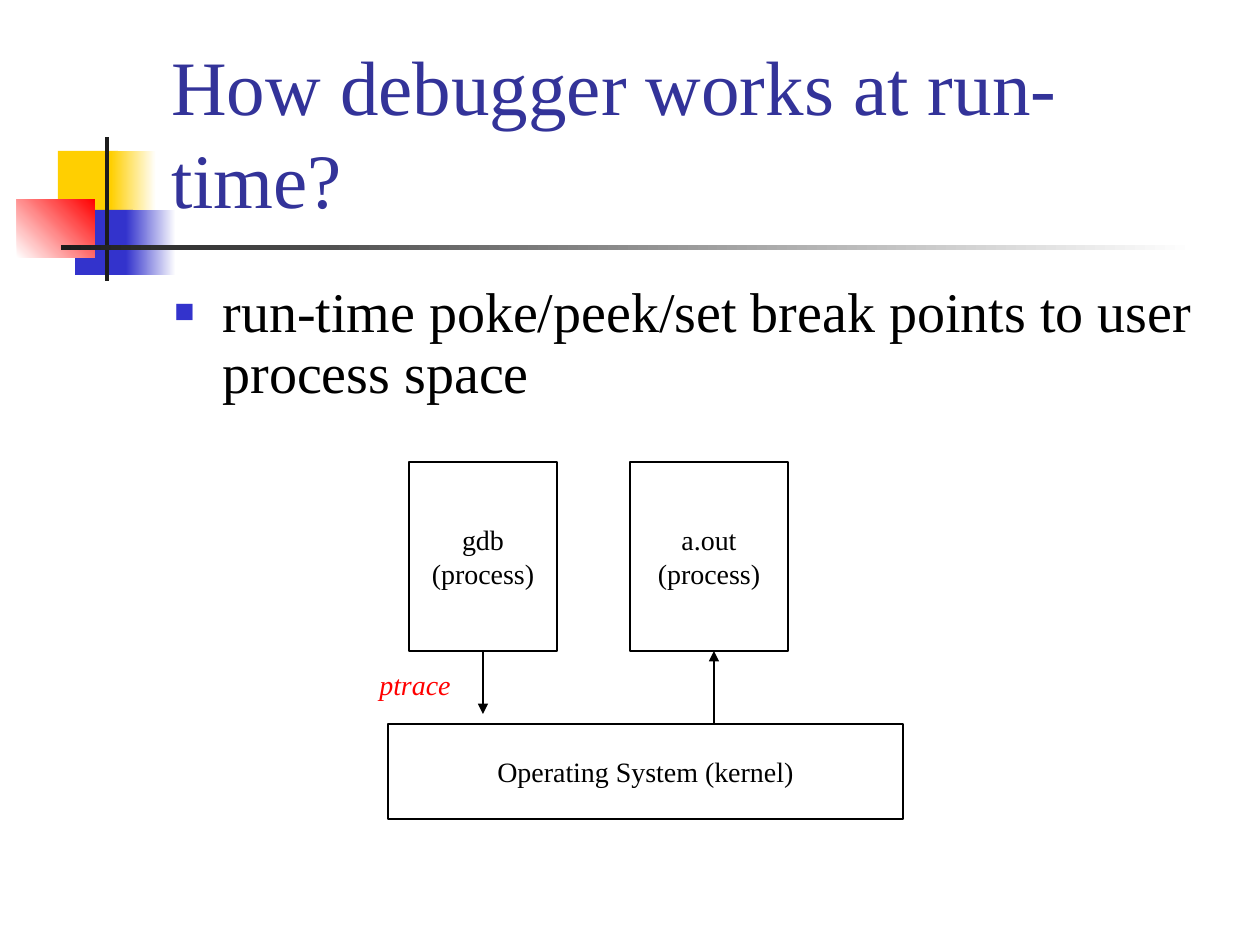
"""Build the slide on how a debugger drives a process at run time."""
from dataclasses import dataclass
from typing import Optional

from lxml.etree import SubElement
from pptx import Presentation
from pptx.dml.color import RGBColor
from pptx.enum.shapes import MSO_CONNECTOR, MSO_SHAPE
from pptx.enum.text import MSO_ANCHOR, MSO_AUTO_SIZE, PP_ALIGN
from pptx.oxml.ns import qn
from pptx.util import Emu, Pt

EMU_PER_PX = 914400 / 126
FONT = "Times New Roman"
COLORS = {
    "white": "FFFFFF",
    "black": "000000",
    "yellow": "FFCF01",
    "blue": "3333CC",
    "red": "FF0000",
    "dark": "1C1C1C",
    "title": "333399",
}


@dataclass(frozen=True)
class Area:
    x: int
    y: int
    w: int
    h: int


@dataclass(frozen=True)
class Block:
    area: Area
    start: str
    end: Optional[str] = None
    angle: int = 0


@dataclass(frozen=True)
class Box:
    area: Area
    lines: tuple[str, ...]


@dataclass(frozen=True)
class Label:
    area: Area
    text: str
    size: int
    color: str
    italic: bool = False
    wrap: bool = True
    anchor: MSO_ANCHOR = MSO_ANCHOR.TOP
    fit: MSO_AUTO_SIZE = MSO_AUTO_SIZE.NONE


DECORATION = (
    Block(Area(58, 151, 60, 66), "yellow"),
    Block(Area(111, 151, 45, 66), "yellow", "white"),
    Block(Area(75, 210, 58, 65), "blue"),
    Block(Area(126, 210, 50, 65), "blue", "white"),
    Block(Area(17, 199, 78, 59), "white", "red", 45),
    Block(Area(105, 137, 4, 144), "dark"),
    Block(Area(61, 245, 1134, 5), "dark", "white"),
)
TITLE = Label(Area(159, 28, 1073, 202), "How debugger works at run-time?", 44,
              "title", anchor=MSO_ANCHOR.BOTTOM)
BODY = Label(Area(162, 278, 1071, 142),
             "run-time poke/peek/set break points to user process space", 32, "black")
PTRACE = Label(Area(367, 661, 100, 46), "ptrace", 16, "red", italic=True, wrap=False,
               fit=MSO_AUTO_SIZE.SHAPE_TO_FIT_TEXT)
GDB = Box(Area(409, 462, 148, 189), ("gdb", "(process)"))
PROGRAM = Box(Area(630, 462, 158, 189), ("a.out", "(process)"))
KERNEL = Box(Area(388, 724, 515, 95), ("Operating System (kernel)",))


def px(n: int) -> Emu:
    """Turn pixels into EMU."""
    return Emu(round(n * EMU_PER_PX))


def rgb(name: str) -> RGBColor:
    """Look up a named colour."""
    return RGBColor.from_string(COLORS[name])


def place(area: Area) -> tuple[Emu, Emu, Emu, Emu]:
    """Give an area as left, top, width and height in EMU."""
    return px(area.x), px(area.y), px(area.w), px(area.h)


def add_run(p, text: str, size: int, color: str, italic: bool = False) -> None:
    """Add one formatted run to a paragraph."""
    r = p.add_run()
    r.text = text
    r.font.name = FONT
    r.font.size = Pt(size)
    r.font.italic = italic
    r.font.color.rgb = rgb(color)


def add_rect(s, area: Area):
    """Add a plain rectangle without shadow."""
    sp = s.shapes.add_shape(MSO_SHAPE.RECTANGLE, *place(area))
    sp.shadow.inherit = False
    return sp


def add_block(s, block: Block) -> None:
    """Draw a decorative block, solid or fading."""
    sp = add_rect(s, block.area)
    sp.line.fill.background()
    if block.end is None:
        sp.fill.solid()
        sp.fill.fore_color.rgb = rgb(block.start)
        return
    sp.fill.gradient()
    sp.fill.gradient_angle = block.angle
    for stop, name, position in zip(sp.fill.gradient_stops, (block.start, block.end), (0, 1)):
        stop.color.rgb = rgb(name)
        stop.position = position


def add_box(s, box: Box):
    """Draw an outlined box with centred lines of text."""
    sp = add_rect(s, box.area)
    sp.fill.background()
    sp.line.color.rgb = rgb("black")
    sp.line.width = Pt(0.75)
    tf = sp.text_frame
    tf.word_wrap = False
    tf.vertical_anchor = MSO_ANCHOR.MIDDLE
    for i, line in enumerate(box.lines):
        p = tf.add_paragraph() if i else tf.paragraphs[0]
        p.alignment = PP_ALIGN.CENTER
        add_run(p, line, 16, "black")
    return sp


def add_label(s, label: Label):
    """Add a text box and return its paragraph."""
    tf = s.shapes.add_textbox(*place(label.area)).text_frame
    tf.word_wrap = label.wrap
    tf.auto_size = label.fit
    tf.vertical_anchor = label.anchor
    p = tf.paragraphs[0]
    add_run(p, label.text, label.size, label.color, label.italic)
    return p


def set_bullet(p, char: str, color: str, percent: int, indent: int) -> None:
    """Give a paragraph a coloured bullet with a hanging indent."""
    pr = p._p.get_or_add_pPr()
    pr.set("marL", str(px(indent)))
    pr.set("indent", str(-px(indent)))
    SubElement(SubElement(pr, qn("a:buClr")), qn("a:srgbClr"), val=COLORS[color])
    SubElement(pr, qn("a:buSzPct"), val=str(percent * 1000))
    SubElement(pr, qn("a:buFont"), typeface=FONT)
    SubElement(pr, qn("a:buChar"), char=char)


def add_arrow(s, x: int, y1: int, y2: int):
    """Draw a vertical arrow from y1 to y2."""
    c = s.shapes.add_connector(MSO_CONNECTOR.STRAIGHT, px(x), px(y1), px(x), px(y2))
    c.line.color.rgb = rgb("black")
    c.line.width = Pt(0.75)
    SubElement(c.line._get_or_add_ln(), qn("a:tailEnd"), type="triangle")
    SubElement(c._element.spPr, qn("a:effectLst"))
    return c


def main() -> None:
    """Build and save the slide."""
    prs = Presentation()
    prs.slide_width, prs.slide_height = px(1260), px(945)
    s = prs.slides.add_slide(prs.slide_layouts[6])
    for block in DECORATION:
        add_block(s, block)
    add_label(s, TITLE)
    p = add_label(s, BODY)
    p.line_spacing = 0.9
    set_bullet(p, "■", "blue", 60, 48)
    gdb = add_box(s, GDB)
    add_box(s, PROGRAM)
    add_arrow(s, 483, 651, 714).begin_connect(gdb, 2)
    add_label(s, PTRACE)
    add_box(s, KERNEL)
    add_arrow(s, 714, KERNEL.area.y, 651)
    prs.save("out.pptx")


if __name__ == "__main__":
    main()
